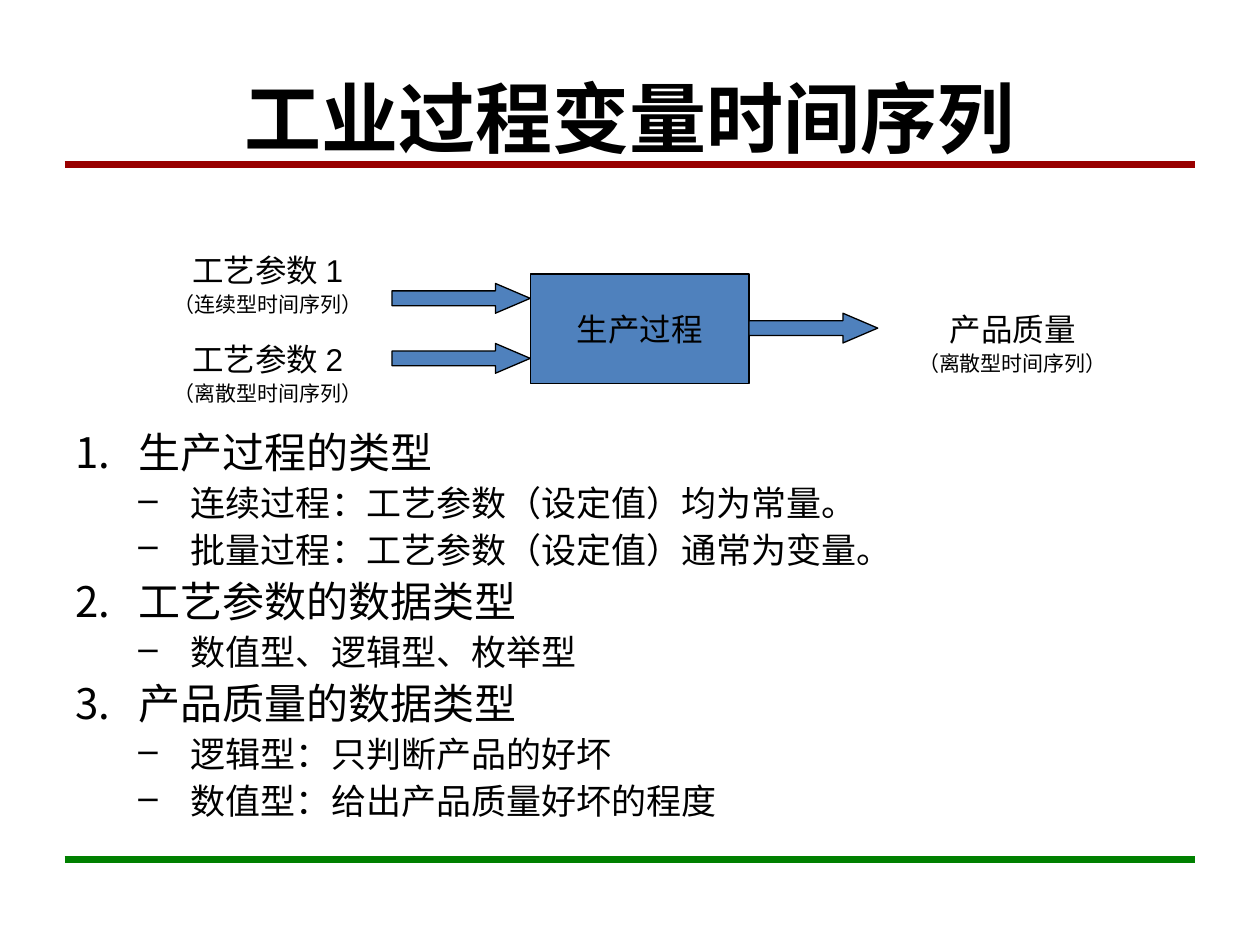
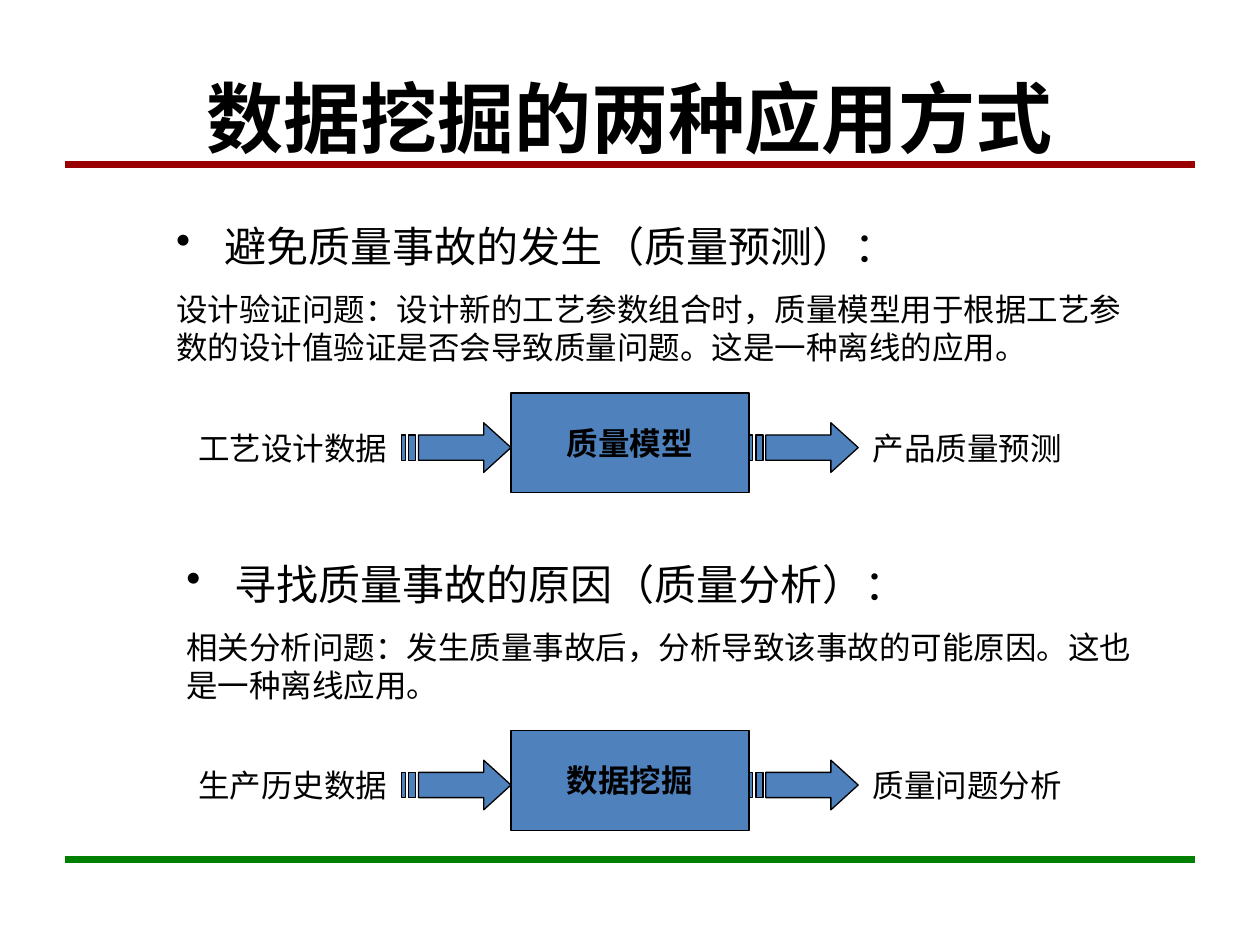
from dataclasses import dataclass

from pptx import Presentation
from pptx.dml.color import RGBColor
from pptx.enum.shapes import MSO_CONNECTOR, MSO_SHAPE
from pptx.enum.text import MSO_ANCHOR, PP_ALIGN
from pptx.oxml.ns import qn
from pptx.util import Pt
from lxml.etree import SubElement


@dataclass(frozen=True)
class Theme:
    ink: RGBColor = RGBColor(0, 0, 0)
    block: RGBColor = RGBColor(0x4F, 0x81, 0xBD)
    top_rule: RGBColor = RGBColor(0x99, 0, 0)
    bottom_rule: RGBColor = RGBColor(0, 0x80, 0)
    heading_font: str = "Calibri"
    diagram_font: str = "Arial"
    title_size: int = 44
    topic_size: int = 24
    point_size: int = 20
    label_size: int = 18
    note_size: int = 12


THEME = Theme()

OUTLINE = [
    ("生产过程的类型", ["连续过程：工艺参数（设定值）均为常量。",
                "批量过程：工艺参数（设定值）通常为变量。"]),
    ("工艺参数的数据类型", ["数值型、逻辑型、枚举型"]),
    ("产品质量的数据类型", ["逻辑型：只判断产品的好坏", "数值型：给出产品质量好坏的程度"]),
]


def style(paragraph, size, font=THEME.diagram_font, bold=False):
    for run in paragraph.runs:
        run.font.size = Pt(size)
        run.font.name = font
        run.font.bold = bold
        run.font.color.rgb = THEME.ink


def set_bullet(paragraph, tag, indent, hanging, **attributes):
    properties = paragraph._p.get_or_add_pPr()
    properties.set("marL", str(Pt(indent)))
    properties.set("indent", str(-Pt(hanging)))
    SubElement(properties, qn(tag), attributes)


def add_frame(slide, left, top, width, height):
    frame = slide.shapes.add_textbox(Pt(left), Pt(top), Pt(width), Pt(height)).text_frame
    frame.word_wrap = True
    return frame


def paint(block):
    block.shadow.inherit = False
    block.fill.solid()
    block.fill.fore_color.rgb = THEME.block
    block.line.color.rgb = THEME.ink
    block.line.width = Pt(0.75)


def add_rule(slide, y, color):
    rule = slide.shapes.add_connector(MSO_CONNECTOR.STRAIGHT, Pt(37), Pt(y), Pt(683), Pt(y))
    rule.line.color.rgb = color
    rule.line.width = Pt(4)
    SubElement(rule._element.spPr, qn("a:effectLst"))


def add_titled_slide(deck, title):
    slide = deck.slides.add_slide(deck.slide_layouts[6])
    add_rule(slide, 491, THEME.bottom_rule)
    add_rule(slide, 94, THEME.top_rule)
    frame = add_frame(slide, 36, 21.6, 648, 90)
    frame.vertical_anchor = MSO_ANCHOR.MIDDLE
    frame.text = title
    frame.paragraphs[0].alignment = PP_ALIGN.CENTER
    style(frame.paragraphs[0], THEME.title_size, THEME.heading_font, True)
    return slide


def add_process(slide, name, left, top, width, height, bold=False):
    process = slide.shapes.add_shape(MSO_SHAPE.RECTANGLE, Pt(left), Pt(top), Pt(width), Pt(height))
    paint(process)
    frame = process.text_frame
    frame.vertical_anchor = MSO_ANCHOR.MIDDLE
    frame.text = name
    frame.paragraphs[0].alignment = PP_ALIGN.CENTER
    style(frame.paragraphs[0], THEME.label_size, bold=bold)


def add_arrow(slide, left, top, width):
    arrow = slide.shapes.add_shape(MSO_SHAPE.RIGHT_ARROW, Pt(left), Pt(top), Pt(width), Pt(17))
    arrow.adjustments[1] = 1.17
    paint(arrow)


def add_striped_arrow(slide, left, top):
    upper, lower, tip = 7, 21.4, 14.2
    contours = [
        [(46.8, 0), (46.8, upper), (9.6, upper), (9.6, lower), (46.8, lower), (46.8, 28.4), (62.4, tip)],
        [(4, upper), (4, lower), (8, lower), (8, upper)],
        [(0, upper), (0, lower), (2, lower), (2, upper)],
    ]
    placed = [[(Pt(left + x), Pt(top + y)) for x, y in contour] for contour in contours]
    outline = slide.shapes.build_freeform(*placed[0][0])
    for number, contour in enumerate(placed):
        if number:
            outline.move_to(*contour[0])
        outline.add_line_segments(contour[1:], close=True)
    paint(outline.convert_to_shape())


def add_label(slide, left, top, width, name, note=None):
    frame = add_frame(slide, left, top, width, 44.6 if note else 29)
    frame.text = f"{name}\n{note}" if note else name
    for paragraph, size in zip(frame.paragraphs, (THEME.label_size, THEME.note_size)):
        paragraph.alignment = PP_ALIGN.CENTER
        style(paragraph, size)
    if note:
        frame.paragraphs[1].space_before = Pt(1.5)


def add_outline(slide, topics):
    frame = add_frame(slide, 36, 243.4, 648, 239)
    lines = [(level, text) for topic, points in topics
             for level, text in [(0, topic)] + [(1, point) for point in points]]
    frame.text = "\n".join(text for _, text in lines)
    for number, (paragraph, (level, _)) in enumerate(zip(frame.paragraphs, lines)):
        paragraph.level = level
        paragraph.line_spacing = 0.9
        if number:
            paragraph.space_before = Pt(5 if level else 6)
        if level:
            set_bullet(paragraph, "a:buChar", 66, 30, char="–")
        else:
            set_bullet(paragraph, "a:buAutoNum", 36, 36, type="arabicPeriod")
        style(paragraph, THEME.point_size if level else THEME.topic_size, THEME.heading_font)


def add_application(slide, left, top, heading, explanation):
    frame = add_frame(slide, left, top, 655.2 - left, 90.7)
    frame.text = f"{heading}\n{explanation}"
    topic, detail = frame.paragraphs
    set_bullet(topic, "a:buChar", 27.5, 27.5, char="•")
    style(topic, THEME.topic_size)
    detail.space_before = Pt(11.2)
    style(detail, THEME.label_size)


def add_flow(slide, top, source, process, result):
    add_process(slide, process, 292, top, 136, 57, bold=True)
    for left in (229.6, 428):
        add_striped_arrow(slide, left, top + 17)
    for left, name in ((99.4, source), (484.6, result)):
        add_label(slide, left, top + 16.8, 136, name)


def build_variables(deck):
    slide = add_titled_slide(deck, "工业过程变量时间序列")
    add_outline(slide, OUTLINE)
    add_process(slide, "生产过程", 303, 156.6, 125, 62.6)
    for left, top, width in ((224, 162, 79), (224, 196.3, 79), (428, 179, 73.6)):
        add_arrow(slide, left, top, width)
    for left, top, name, kind in ((82, 139.7, "工艺参数 1", "连续"),
                                  (82, 190.7, "工艺参数 2", "离散"),
                                  (507.6, 173.5, "产品质量", "离散")):
        add_label(slide, left, top, 142, name, f"（{kind}型时间序列）")


def build_applications(deck):
    slide = add_titled_slide(deck, "数据挖掘的两种应用方式")
    add_application(slide, 93.6, 122.4, "避免质量事故的发生（质量预测）：",
                    "设计验证问题：设计新的工艺参数组合时，质量模型用于根据工艺参数的设计值"
                    "验证是否会导致质量问题。这是一种离线的应用。")
    add_flow(slide, 224.6, "工艺设计数据", "质量模型", "产品质量预测")
    add_application(slide, 99.4, 315.4, "寻找质量事故的原因（质量分析）：",
                    "相关分析问题：发生质量事故后，分析导致该事故的可能原因。这也是一种离线应用。")
    add_flow(slide, 417.4, "生产历史数据", "数据挖掘", "质量问题分析")


def main():
    deck = Presentation()
    deck.slide_width, deck.slide_height = Pt(720), Pt(540)
    build_variables(deck)
    build_applications(deck)
    deck.save("out.pptx")


if __name__ == "__main__":
    main()
